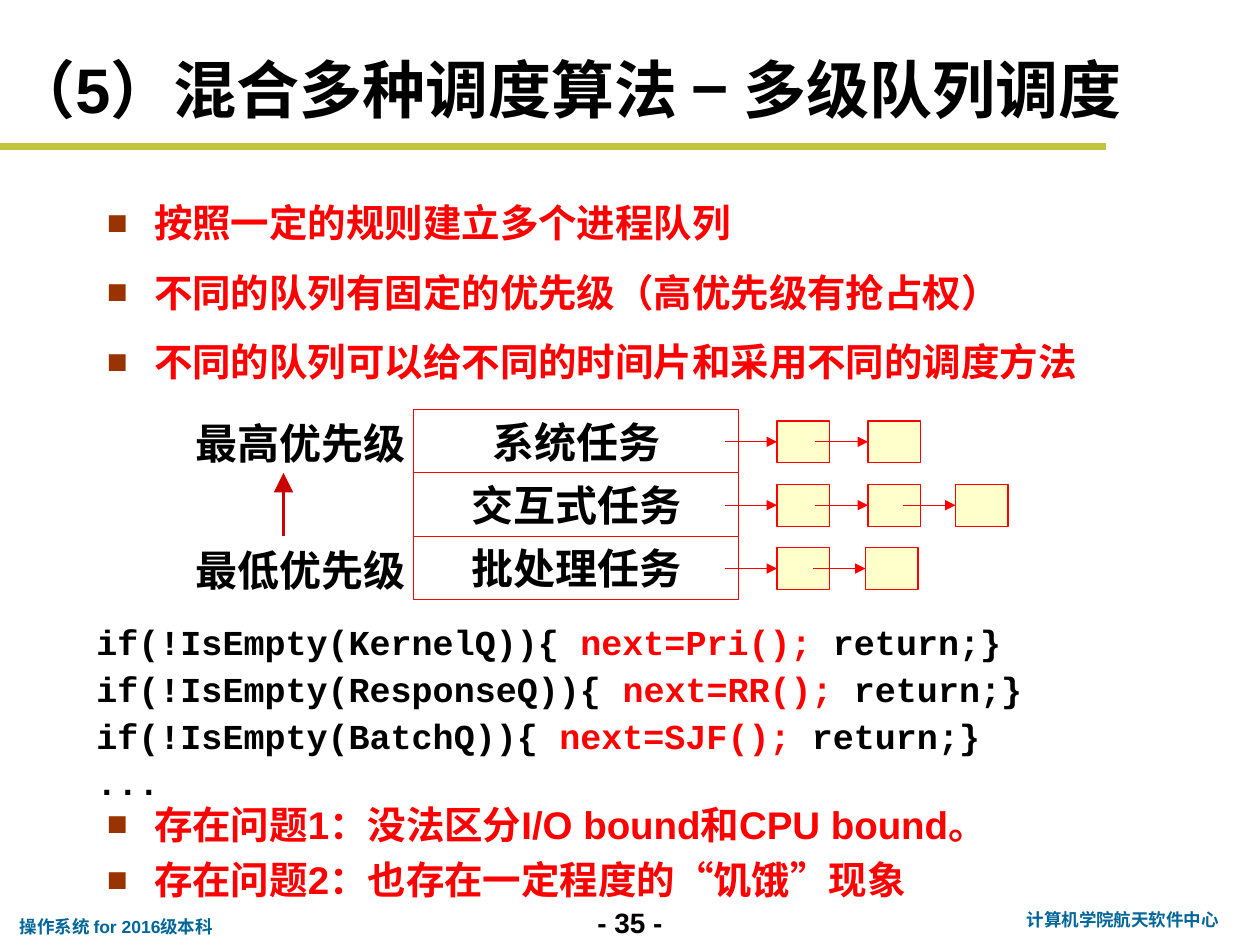
from lxml import etree
from pptx import Presentation
from pptx.dml.color import RGBColor
from pptx.enum import shapes, text
from pptx.oxml import ns
from pptx.util import Pt

BLACK = RGBColor(0, 0, 0)
RED = RGBColor(0xFF, 0, 0)
DARK_RED = RGBColor(0xCC, 0, 0)
OLIVE = RGBColor(0xC1, 0xC4, 0x3C)
TEAL = RGBColor(0, 0x66, 0x99)
BROWN = RGBColor(0x99, 0x33, 0)
CREAM = RGBColor(0xFF, 0xFF, 0xCC)

CENTER = text.PP_ALIGN.CENTER
MIDDLE = text.MSO_ANCHOR.MIDDLE
INDENT = 27


def sub(parent, tag, **attrs):
    return etree.SubElement(parent, ns.qn(tag), attrs)


def add_bullet(p):
    pPr = p._p.get_or_add_pPr()
    sub(sub(pPr, "a:buClr"), "a:srgbClr", val=str(BROWN))
    sub(pPr, "a:buSzPct", val="90000")
    sub(pPr, "a:buFont", typeface="Arial")
    sub(pPr, "a:buChar", char="■")


def fill_text(tf, paras, size, color=BLACK, font="Arial", anchor=None,
              bullet=False, hanging=False, space_before=0, **para_format):
    """Each paragraph is a list of (wording, colour) runs or a plain string."""
    tf.word_wrap = True
    tf.vertical_anchor = anchor or text.MSO_ANCHOR.TOP
    for i, runs in enumerate(paras):
        p = tf.paragraphs[0] if i == 0 else tf.add_paragraph()
        if hanging:
            pPr = p._p.get_or_add_pPr()
            pPr.set("marL", str(Pt(INDENT)))
            pPr.set("indent", str(-Pt(INDENT)))
        if bullet:
            add_bullet(p)
        for name, value in para_format.items():
            setattr(p, name, value)
        if i and space_before:
            p.space_before = Pt(space_before)
        for wording, tint in [(runs, color)] if isinstance(runs, str) else runs:
            r = p.add_run()
            r.text = wording
            for name, value in dict(name=font, size=Pt(size), bold=True).items():
                setattr(r.font, name, value)
            r.font.color.rgb = tint


def add_text(s, box, paras, size, **fmt):
    sp = s.shapes.add_textbox(*map(Pt, box))
    fill_text(sp.text_frame, paras, size, **fmt)


def add_rect(s, box, fill=None):
    sp = s.shapes.add_shape(shapes.MSO_SHAPE.RECTANGLE, *map(Pt, box))
    sp.shadow.inherit = False
    if fill is None:
        sp.fill.background()
    else:
        sp.fill.solid()
        sp.fill.fore_color.rgb = fill
    sp.line.color.rgb = RED
    sp.line.width = Pt(0.75)
    return sp


def add_line(s, start, end, color, width, head=None):
    """head is the arrowhead size at the end: "med", "lg" or None."""
    c = s.shapes.add_connector(shapes.MSO_CONNECTOR.STRAIGHT,
                               *map(Pt, (*start, *end)))
    c.line.color.rgb = color
    c.line.width = Pt(width)
    if head:
        sub(c.line._get_or_add_ln(), "a:tailEnd", type="triangle",
            w=head, len=head)
    sub(c._element.spPr, "a:effectLst")
    return c


def draw_frame(s, width, height):
    """Title, rule and footer of the page."""
    add_text(s, (0, 24, width, 53), ["（5）混合多种调度算法 − 多级队列调度"],
             36, anchor=MIDDLE)
    add_line(s, (0, 84), (632, 84), OLIVE, 4)
    add_text(s, (4.3, height - 20, 160, 19.5), ["操作系统 for 2016级本科"],
             10, color=TEAL)
    add_text(s, (324, height - 26, 72, 26), ["- 35 -"], 16, alignment=CENTER)
    add_text(s, (570, height - 23.8, 143, 19.5), ["计算机学院航天软件中心"],
             10, color=TEAL, alignment=CENTER)


def draw_bullets(s, box, items, **fmt):
    add_text(s, box, items, 22, color=RED, bullet=True, hanging=True,
             space_before=5.5, **fmt)


def draw_queue(s, left, top, width, height, name, job_lefts):
    """A named queue, with an arrow leading into each of its waiting jobs."""
    sp = add_rect(s, (left, top, width, height))
    fill_text(sp.text_frame, [name], 24, anchor=MIDDLE, alignment=CENTER)
    job_w, job_h, arrow = 30, 24, 30
    mid = top + height / 2 + 0.4
    jobs = [add_rect(s, (x, mid - job_h / 2, job_w, job_h), CREAM)
            for x in job_lefts]
    for x, job in zip(job_lefts, jobs):
        c = add_line(s, (x - arrow, mid), (x, mid), RED, 0.75, "med")
        c.end_connect(job, 1)


def draw_queues(s, left, top, width, height):
    """Priority labels on the left, the three queues on the right."""
    queues = [("系统任务", (444, 496)),
              ("交互式任务", (444, 496, 546)),
              ("批处理任务", (444, 494.6))]
    label_w = 132
    row_h = height / len(queues)
    for i, (name, job_lefts) in enumerate(queues):
        draw_queue(s, left + label_w, top + i * row_h, width - label_w, row_h,
                   name, job_lefts)
    for row, label in ((0, "最高优先级"), (2, "最低优先级")):
        add_text(s, (left + 0.5, top + row * row_h + 1, label_w + 20, row_h),
                 [label], 24)
    x = left + 57.7
    add_line(s, (x, top + 2 * row_h), (x, top + row_h), DARK_RED, 2.25, "lg")


def draw_code(s, box):
    calls = [("KernelQ", "Pri"), ("ResponseQ", "RR"), ("BatchQ", "SJF")]
    lines = [[(f"if(!IsEmpty({queue})){{ ", BLACK),
              (f"next={policy}();", RED),
              (" return;}", BLACK)] for queue, policy in calls]
    add_text(s, box, lines + ["..."], 20, font="Courier New", hanging=True,
             line_spacing=0.9, space_before=5)


def main():
    prs = Presentation()
    prs.slide_width, prs.slide_height = Pt(720), Pt(540)
    s = prs.slides.add_slide(prs.slide_layouts[6])
    draw_frame(s, 720, 540)
    draw_bullets(s, (54, 102.4, 582, 138),
                 ["按照一定的规则建立多个进程队列",
                  "不同的队列有固定的优先级（高优先级有抢占权）",
                  "不同的队列可以给不同的时间片和采用不同的调度方法"],
                 line_spacing=1.3)
    draw_queues(s, 104.3, 234, 317.8, 108.6)
    draw_code(s, (48, 354, 672, 126))
    draw_bullets(s, (54, 454, 618, 68),
                 ["存在问题1：没法区分I/O bound和CPU bound。",
                  "存在问题2：也存在一定程度的“饥饿”现象"])
    prs.save("out.pptx")


if __name__ == "__main__":
    main()
